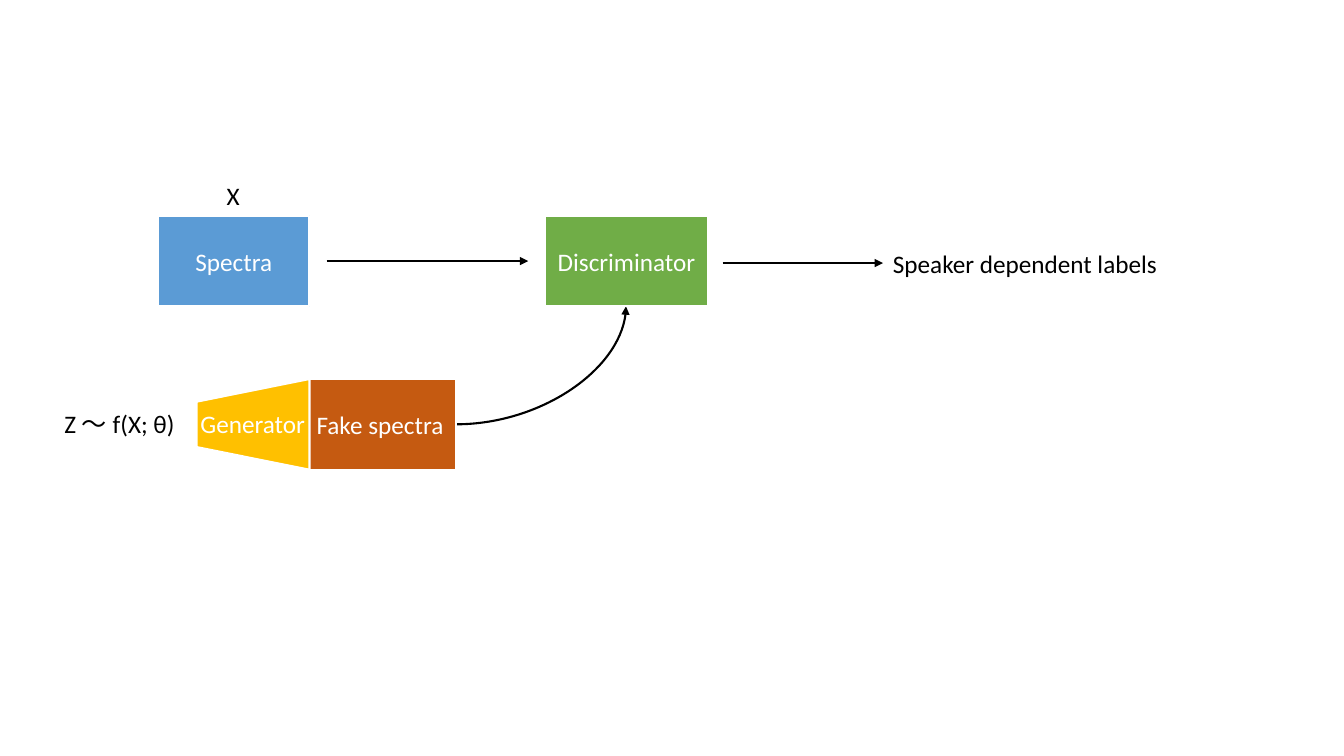
from dataclasses import dataclass

from lxml.etree import SubElement
from pptx import Presentation
from pptx.dml.color import RGBColor
from pptx.enum.shapes import MSO_CONNECTOR, MSO_SHAPE
from pptx.enum.text import MSO_ANCHOR, MSO_AUTO_SIZE, PP_ALIGN
from pptx.oxml.ns import qn
from pptx.util import Inches, Pt

COLORS = {
    "spectra": "5B9BD5",
    "discriminator": "70AD47",
    "fake": "C55A11",
    "generator": "FFC000",
    "paper": "FFFFFF",
    "ink": "000000",
}
FONT, TEXT_SIZE, STROKE = "Calibri", Pt(18), Pt(1.5)

# The slide is a grid of square cells, ten to the inch.
CELL = Inches(0.1)
COLUMNS, ROWS = 133.33, 75
BLOCK_ROWS, LABEL_ROWS = 9, 4
REAL_ROW, FAKE_ROW = 21.4, 37.6
FAKE_MIDDLE = FAKE_ROW + BLOCK_ROWS / 2


@dataclass(frozen=True)
class Block:
    """A filled stage of the network."""
    column: float
    row: float
    columns: float
    fill: str
    caption: str = ""
    rows: float = BLOCK_ROWS
    preset: MSO_SHAPE = MSO_SHAPE.RECTANGLE
    rotation: float = 0


@dataclass(frozen=True)
class Label:
    """A caption without a fill."""
    column: float
    row: float
    columns: float
    caption: str
    color: str = "ink"
    wrap: bool = False


@dataclass(frozen=True)
class Flow:
    """An arrow between two grid points."""
    start: tuple[float, float]
    end: tuple[float, float]
    curved: bool = False


GENERATOR_WIDTH, GENERATOR_CENTER = 11.2, 25.1

STAGES = [
    Block(15.7, REAL_ROW, 15, "spectra", "Spectra"),
    Label(21.5, REAL_ROW - LABEL_ROWS, 3.3, "X"),
    Flow((32.4, 25.9), (52.4, 25.9)),
    Flow((45.2, FAKE_MIDDLE), (62.1, REAL_ROW + BLOCK_ROWS), curved=True),
    Block(54.1, REAL_ROW, 16.1, "discriminator", "Discriminator"),
    Flow((71.7, 26.1), (87.6, 26.1)),
    Label(87.6, 24.1, 28.5, "Speaker dependent labels"),
    Block(30.2, FAKE_ROW, 15, "fake", "Fake spectra"),
    Label(5.4, 40, 14.2, "Z ～ f(X; θ)", wrap=True),
    Block(GENERATOR_CENTER - BLOCK_ROWS / 2, FAKE_MIDDLE - GENERATOR_WIDTH / 2,
          BLOCK_ROWS, "generator", rows=GENERATOR_WIDTH,
          preset=MSO_SHAPE.TRAPEZOID, rotation=270),
    Label(18.9, 40, 13.3, "Generator", "paper", wrap=True),
]


def cells(count: float) -> int:
    """Turn a number of grid cells into a length."""
    return round(count * CELL)


def rgb(role: str) -> RGBColor:
    """Look up the colour of a role."""
    return RGBColor.from_string(COLORS[role])


def write(frame, caption: str, color: str) -> None:
    """Add one formatted run to the first paragraph."""
    run = frame.paragraphs[0].add_run()
    run.text = caption
    run.font.name, run.font.size = FONT, TEXT_SIZE
    run.font.color.rgb = rgb(color)


def draw_block(slide, block: Block) -> None:
    """Draw a filled stage with its centred caption."""
    stage = slide.shapes.add_shape(
        block.preset, cells(block.column), cells(block.row),
        cells(block.columns), cells(block.rows))
    stage.rotation = block.rotation
    stage.shadow.inherit = False
    stage.fill.solid()
    stage.fill.fore_color.rgb = rgb(block.fill)
    stage.line.color.rgb = rgb("paper")
    stage.line.width = STROKE
    if block.caption:
        stage.text_frame.vertical_anchor = MSO_ANCHOR.MIDDLE
        stage.text_frame.paragraphs[0].alignment = PP_ALIGN.CENTER
        write(stage.text_frame, block.caption, "paper")


def draw_label(slide, label: Label) -> None:
    """Draw a caption that stands on its own."""
    frame = slide.shapes.add_textbox(
        cells(label.column), cells(label.row),
        cells(label.columns), cells(LABEL_ROWS)).text_frame
    frame.word_wrap = label.wrap
    frame.auto_size = MSO_AUTO_SIZE.SHAPE_TO_FIT_TEXT
    write(frame, label.caption, label.color)


def draw_flow(slide, flow: Flow) -> None:
    """Draw a straight arrow, or one with a single bend."""
    kind = MSO_CONNECTOR.CURVE if flow.curved else MSO_CONNECTOR.STRAIGHT
    arrow = slide.shapes.add_connector(
        kind, *(cells(length) for length in flow.start + flow.end))
    arrow.line.color.rgb = rgb("ink")
    arrow.line.width = STROKE
    properties = arrow._element.spPr
    if flow.curved:
        properties.find(qn("a:prstGeom")).set("prst", "curvedConnector2")
    SubElement(properties.find(qn("a:ln")), qn("a:tailEnd"), type="triangle")
    SubElement(properties, qn("a:effectLst"))


def main() -> None:
    """Build the diagram, from back to front."""
    deck = Presentation()
    deck.slide_width, deck.slide_height = cells(COLUMNS), cells(ROWS)
    slide = deck.slides.add_slide(deck.slide_layouts.get_by_name("Blank"))
    slide.background.fill.solid()
    slide.background.fill.fore_color.rgb = rgb("paper")
    painters = {Block: draw_block, Label: draw_label, Flow: draw_flow}
    for stage in STAGES:
        painters[type(stage)](slide, stage)
    deck.save("out.pptx")


main()
